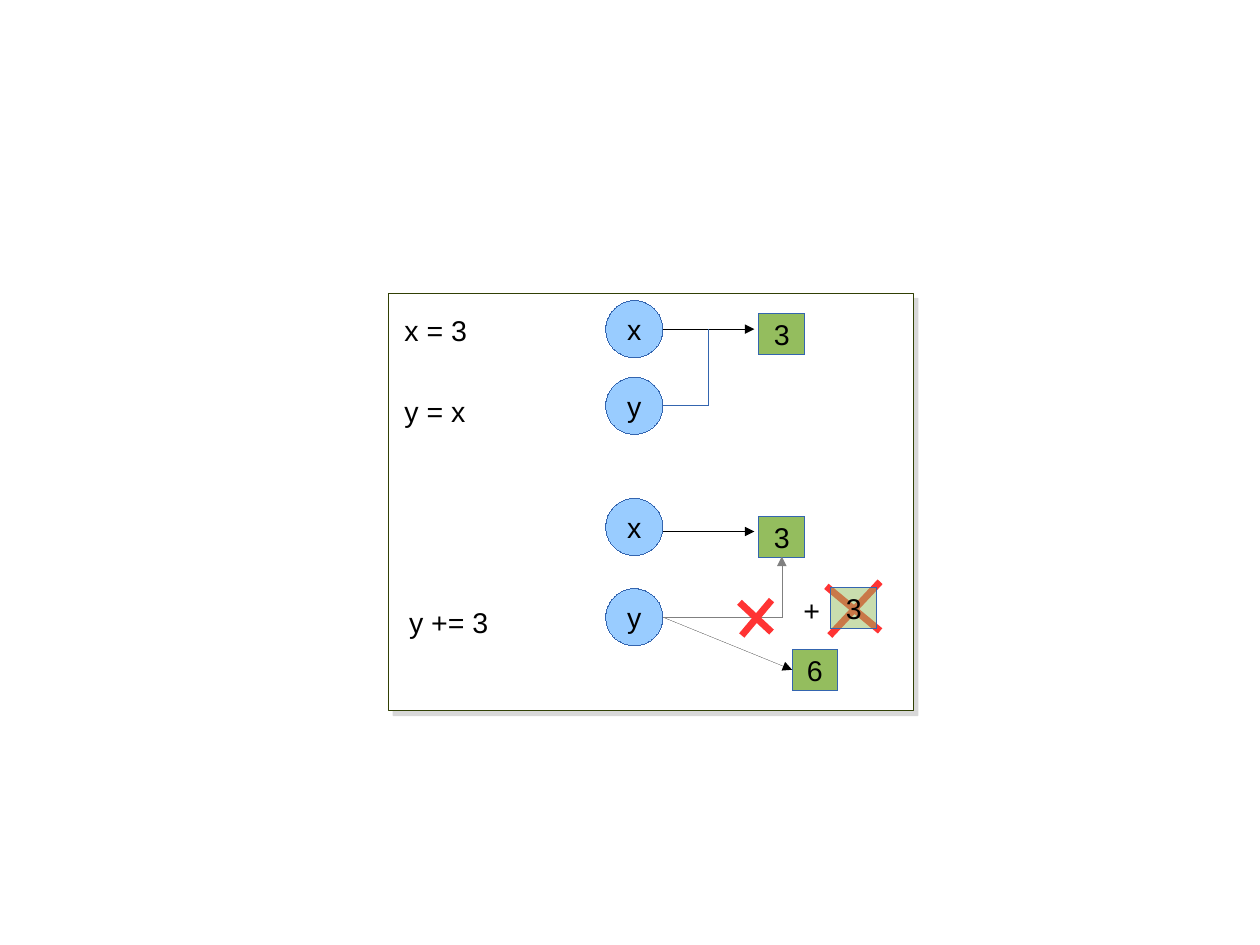
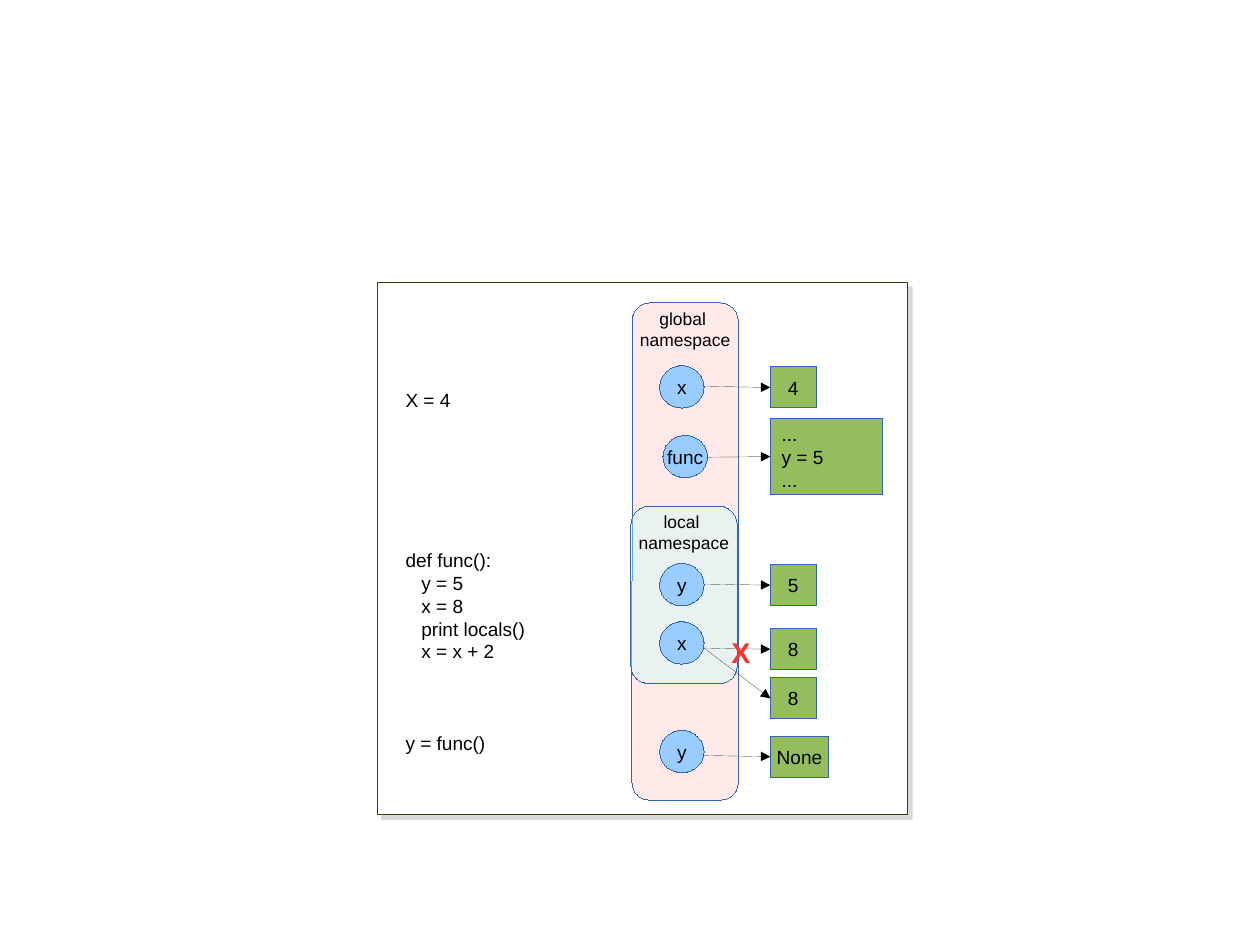
from lxml.etree import SubElement
from pptx import Presentation
from pptx.dml.color import RGBColor
from pptx.enum.shapes import MSO_CONNECTOR, MSO_SHAPE
from pptx.enum.text import MSO_ANCHOR, PP_ALIGN
from pptx.oxml.ns import qn
from pptx.util import Cm, Inches, Pt

FONT = "Arial"
BLACK, WHITE, GRAY, RED = "000000", "FFFFFF", "808080", "FF3333"
BLUE, OUTLINE, GREEN, OLIVE = "99CCFF", "3465AF", "94BD5E", "314004"
PINK, AQUA = "FFC8C8", "CCFFFF"
HAIRLINE = 0.01
BOX_W, BOX_H = 0.4, 0.36


def color(value):
    return RGBColor.from_string(value)


def add_text(tf, lines, size, align, text_color=BLACK, bold=False):
    for i, line in enumerate(lines):
        p = tf.paragraphs[0] if i == 0 else tf.add_paragraph()
        p.alignment = align
        r = p.add_run()
        r.text = line
        r.font.name = FONT
        r.font.size = Pt(size)
        r.font.bold = bold
        r.font.color.rgb = color(text_color)


def add_label(s, x, y, w, lines, size, text_color=BLACK, bold=False):
    height = 0.1 + len(lines) * size * 1.15 / 72
    tf = s.shapes.add_textbox(Inches(x), Inches(y), Inches(w), Inches(height)).text_frame
    tf.word_wrap = True
    add_text(tf, lines, size, PP_ALIGN.LEFT, text_color, bold)


def add_box(s, kind, at, fill, line=OUTLINE, width=HAIRLINE, opacity=100):
    sp = s.shapes.add_shape(kind, *[Inches(v) for v in at])
    sp.shadow.inherit = False
    sp.fill.solid()
    sp.fill.fore_color.rgb = color(fill)
    if opacity < 100:
        clr = sp._element.spPr.find(qn("a:solidFill")).find(qn("a:srgbClr"))
        SubElement(clr, qn("a:alpha"), val=str(opacity * 1000))
    sp.line.color.rgb = color(line)
    sp.line.width = Pt(width)
    return sp


def add_node(s, kind, at, fill, lines, size, align=PP_ALIGN.CENTER, opacity=100):
    sp = add_box(s, kind, at, fill, opacity=opacity)
    tf = sp.text_frame
    tf.word_wrap = align == PP_ALIGN.LEFT
    tf.vertical_anchor = MSO_ANCHOR.MIDDLE
    add_text(tf, lines, size, align)
    return sp


def add_name(s, x, y, w, h, text, size):
    return add_node(s, MSO_SHAPE.OVAL, (x, y, w, h), BLUE, [text], size)


def add_value(s, x, y, text, size, w=BOX_W, opacity=100):
    return add_node(s, MSO_SHAPE.RECTANGLE, (x, y, w, BOX_H), GREEN, [text], size,
                    opacity=opacity)


def add_panel(s, at):
    sp = add_box(s, MSO_SHAPE.RECTANGLE, at, WHITE, OLIVE, 0.71)
    effects = sp._element.spPr.find(qn("a:effectLst"))
    shadow = SubElement(effects, qn("a:outerShdw"), dist=str(Pt(4.1)), dir="2700000",
                        algn="tl", rotWithShape="0")
    clr = SubElement(shadow, qn("a:srgbClr"), val=GRAY)
    SubElement(clr, qn("a:alpha"), val="30000")


def add_namespace(s, at, fill, name):
    sp = add_box(s, MSO_SHAPE.ROUNDED_RECTANGLE, at, fill, opacity=40)
    tf = sp.text_frame
    tf.word_wrap = False
    tf.vertical_anchor = MSO_ANCHOR.TOP
    tf.margin_top = Inches(0)
    add_text(tf, [name + " ", "namespace"], 11, PP_ALIGN.CENTER)


def add_line(s, start, end, line=BLACK, width=HAIRLINE, arrow=False, bent=False):
    kind = MSO_CONNECTOR.ELBOW if bent else MSO_CONNECTOR.STRAIGHT
    c = s.shapes.add_connector(kind, *[Inches(v) for v in (*start, *end)])
    c.line.color.rgb = color(line)
    c.line.width = Pt(width)
    spPr = c._element.spPr
    if bent:
        spPr.find(qn("a:prstGeom")).set("prst", "bentConnector2")
    if arrow:
        SubElement(spPr.find(qn("a:ln")), qn("a:tailEnd"), type="triangle")
    SubElement(spPr, qn("a:effectLst"))
    return c


def add_arrow_to(s, start, target):
    add_line(s, start, start, arrow=True).end_connect(target, 1)


def add_cross(s, *strokes):
    for start, end in strokes:
        add_line(s, start, end, RED, 4.31)


def build_assignment(s):
    add_panel(s, (3.4, 2.57, 4.59, 3.65))
    for x, y, text in ((3.44, 2.69, "x = 3"), (3.44, 3.4, "y = x"), (3.48, 5.24, "y += 3")):
        add_label(s, x, y, 1.72, [text], 18)
    for y, text in ((2.63, "x"), (3.3, "y"), (4.36, "x"), (5.15, "y")):
        add_name(s, 5.3, y, 0.5, 0.5, text, 18)
    for y in (2.88, 4.65):
        add_line(s, (5.8, y), (6.6, y), arrow=True)
    for y in (2.74, 4.52):
        add_value(s, 6.64, y, "3", 18)
    add_arrow_to(s, (5.8, 5.4), add_value(s, 6.93, 5.68, "6", 18))
    add_line(s, (5.8, 3.55), (6.2, 2.88), OUTLINE, bent=True)
    add_label(s, 6.93, 5.14, 0.4, ["+"], 18)
    add_cross(s, ((7.23, 5.13), (7.7, 5.52)), ((7.7, 5.09), (7.26, 5.56)))
    add_value(s, 7.27, 5.14, "3", 18, opacity=50)
    add_line(s, (5.8, 5.4), (6.84, 4.87), GRAY, arrow=True, bent=True)
    add_cross(s, ((6.47, 5.27), (6.75, 5.53)), ((6.75, 5.25), (6.49, 5.56)))


def build_namespaces(s):
    add_panel(s, (3.3, 2.47, 4.64, 4.66))
    func_code = ["def func():", "   y = 5", "   x = 8", "   print locals()", "   x = x + 2"]
    for y, lines in ((3.35, ["X = 4"]), (4.75, func_code), (6.35, ["y = func()"])):
        add_label(s, 3.45, y, 1.5, lines, 12)
    add_namespace(s, (5.53, 2.65, 0.93, 4.35), PINK, "global")
    add_namespace(s, (5.52, 4.43, 0.93, 1.55), AQUA, "local")

    bindings = (
        ("x", 3.2, 3.38, "4", 3.21, BOX_W),
        ("y", 4.93, 5.11, "5", 4.94, BOX_W),
        ("x", 5.44, 5.67, "8", 5.5, BOX_W),
        ("y", 6.39, 6.61, "None", 6.44, 0.51),
    )
    for name, name_y, start_y, value, value_y, w in bindings:
        add_name(s, 5.77, name_y, 0.39, 0.37, name, 12)
        add_arrow_to(s, (6.16, start_y), add_value(s, 6.74, value_y, value, 12, w))
    add_arrow_to(s, (6.16, 5.67), add_value(s, 6.74, 5.93, "8", 12))

    add_name(s, 5.8, 3.81, 0.39, 0.37, "func", 12)
    body = add_node(s, MSO_SHAPE.RECTANGLE, (6.74, 3.66, 0.98, 0.67), GREEN,
                    ["...", "y = 5", "..."], 12, PP_ALIGN.LEFT)
    add_arrow_to(s, (6.19, 4), body)
    add_label(s, 6.3, 5.51, 0.4, ["X"], 18, RED, True)


def main():
    prs = Presentation()
    prs.slide_width, prs.slide_height = Cm(28), Cm(21)
    for build in (build_assignment, build_namespaces):
        build(prs.slides.add_slide(prs.slide_layouts[6]))
    prs.save("out.pptx")


if __name__ == "__main__":
    main()
